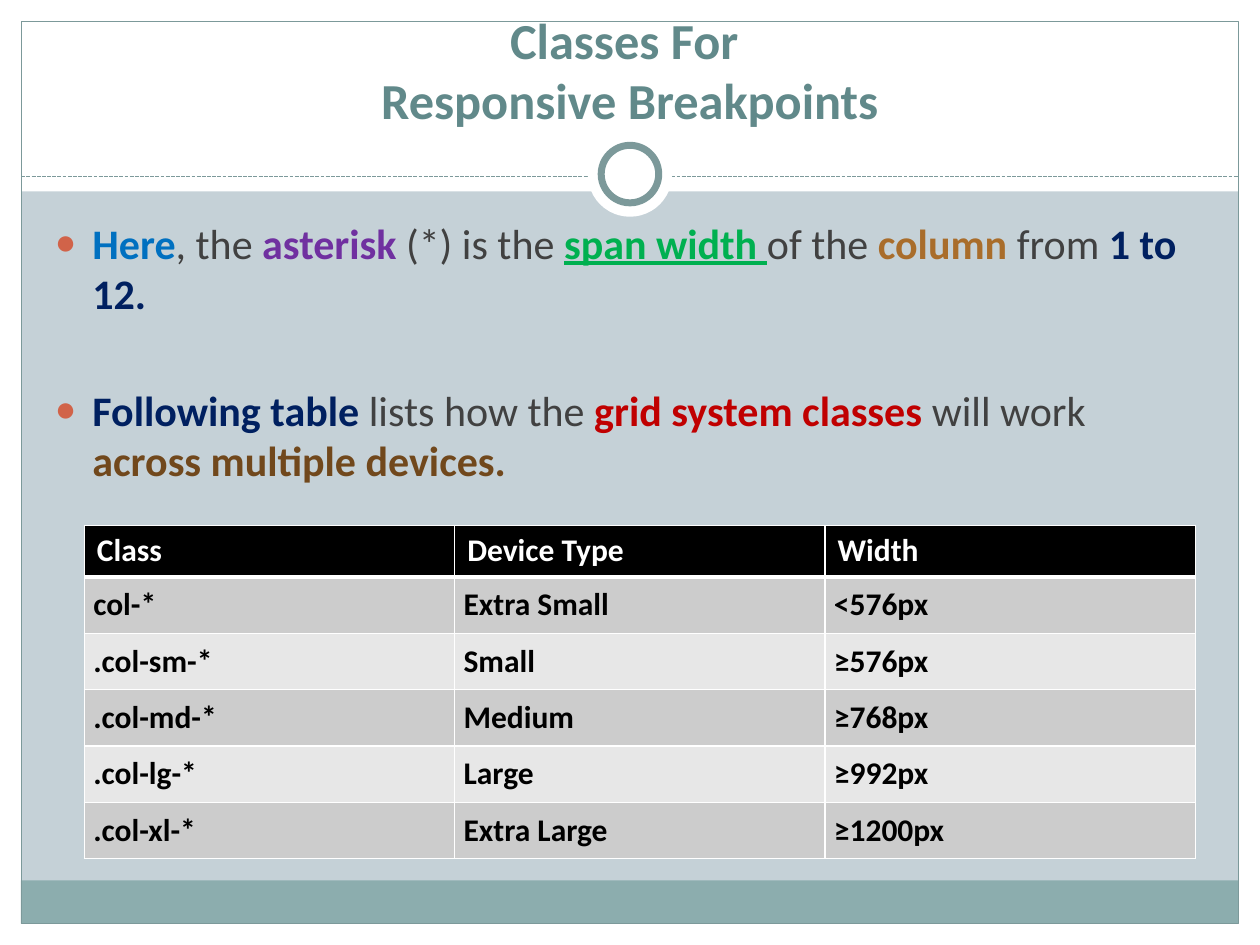
from lxml import etree
from pptx import Presentation
from pptx.dml.color import RGBColor
from pptx.enum import dml, shapes, text
from pptx.oxml import ns
from pptx.util import Cm, Pt

WHITE = RGBColor(0xFF, 0xFF, 0xFF)
BLACK = RGBColor(0, 0, 0)
PANEL = RGBColor(0xC5, 0xD1, 0xD7)
FOOTER = RGBColor(0x8C, 0xAD, 0xAE)
FRAME = RGBColor(0x7C, 0x99, 0x9A)
TITLE = RGBColor(0x61, 0x89, 0x8A)
BULLET = RGBColor(0xD1, 0x63, 0x49)
GREY = RGBColor(0x41, 0x41, 0x41)
BLUE = RGBColor(0x00, 0x70, 0xC0)
PURPLE = RGBColor(0x70, 0x30, 0xA0)
GREEN = RGBColor(0x00, 0xB0, 0x50)
TAN = RGBColor(0xA9, 0x6D, 0x2B)
NAVY = RGBColor(0x00, 0x20, 0x60)
RED = RGBColor(0xC0, 0x00, 0x00)
BROWN = RGBColor(0x71, 0x48, 0x1C)
BANDS = (RGBColor(0xE7, 0xE7, 0xE7), RGBColor(0xCC, 0xCC, 0xCC))
FONT = "Calibri"

# Grey runs are plain, all other colours are bold
BULLETS = [
    [("Here", BLUE), (", the ", GREY), ("asterisk", PURPLE),
     (" (*) is the ", GREY), ("span width ", GREEN), ("of the ", GREY),
     ("column", TAN), (" from ", GREY), ("1 to 12.", NAVY)],
    [("Following table ", NAVY), ("lists how the ", GREY),
     ("grid system classes ", RED), ("will work ", GREY),
     ("across multiple devices.", BROWN)],
]
ROWS = [
    ("Class", "Device Type", "Width"),
    ("col-*", "Extra Small", "<576px"),
    (".col-sm-*", "Small", "≥576px"),
    (".col-md-*", "Medium", "≥768px"),
    (".col-lg-*", "Large", "≥992px"),
    (".col-xl-*", "Extra Large", "≥1200px"),
]


def sub(parent, tag, **attrs):
    return etree.SubElement(parent, ns.qn(tag), **attrs)


def style(font, size, color, bold=True):
    font.name, font.size, font.bold = FONT, Pt(size), bold
    font.color.rgb = color


def place(sp, x, y, w, h):
    sp.left, sp.top, sp.width, sp.height = Cm(x), Cm(y), Cm(w), Cm(h)


def add_block(s, kind, x, y, w, h, fill=None, line_width=None):
    sp = s.shapes.add_shape(kind, Cm(x), Cm(y), Cm(w), Cm(h))
    sp.shadow.inherit = False
    if fill is None:
        sp.fill.background()
    else:
        sp.fill.solid()
        sp.fill.fore_color.rgb = fill
    if line_width is None:
        sp.line.fill.background()
    else:
        sp.line.color.rgb = FRAME
        sp.line.width = Pt(line_width)


def add_dashed_line(s, x1, x2, y):
    line = s.shapes.add_connector(shapes.MSO_CONNECTOR.STRAIGHT,
                                  Cm(x1), Cm(y), Cm(x2), Cm(y))
    line.line.color.rgb = FRAME
    line.line.width = Pt(0.75)
    line.line.dash_style = dml.MSO_LINE.SQUARE_DOT
    sub(line.element.spPr, "a:effectLst")


def add_decoration(s):
    rect, oval = shapes.MSO_SHAPE.RECTANGLE, shapes.MSO_SHAPE.OVAL
    # White margins and header
    add_block(s, rect, 0, 18.62, 25.4, 0.43, WHITE)
    add_block(s, rect, 0, 0, 25.4, 3.86, WHITE)
    for x in (0, 24.97):
        add_block(s, rect, x, 0, 0.43, 19.05, WHITE)
    # Footer band, frame and divider
    add_block(s, rect, 0.42, 17.75, 24.54, 0.87, FOOTER)
    add_block(s, rect, 0.43, 0.43, 24.54, 18.19, line_width=0.75)
    add_dashed_line(s, 0.43, 24.97, 3.56)
    # Ring on the divider
    add_block(s, oval, 11.85, 2.67, 1.7, 1.7, WHITE)
    add_block(s, oval, 12.12, 2.93, 1.16, 1.16, WHITE, 4)


def fill_title(sp):
    place(sp, 0.85, 0.63, 23.7, 2.12)
    tf = sp.text_frame
    tf.text = "Classes For \vResponsive Breakpoints"
    tf.auto_size = text.MSO_AUTO_SIZE.NONE
    tf.vertical_anchor = text.MSO_ANCHOR.BOTTOM
    p = tf.paragraphs[0]
    p.alignment = text.PP_ALIGN.CENTER
    for r in p.runs:
        style(r.font, 28.8, TITLE)


def add_bullet(p):
    pPr = p._p.get_or_add_pPr()
    pPr.set("marL", str(Cm(0.76)))
    pPr.set("indent", str(-Cm(0.76)))
    sub(sub(pPr, "a:buClr"), "a:srgbClr", val=str(BULLET))
    sub(pPr, "a:buSzPct", val="85000")
    sub(pPr, "a:buChar", char="●")


def fill_body(sp):
    place(sp, 0.85, 4.25, 23.62, 12.7)
    tf = sp.text_frame
    tf.auto_size = text.MSO_AUTO_SIZE.NONE
    for i, parts in enumerate(BULLETS):
        p = tf.add_paragraph() if i else tf.paragraphs[0]
        add_bullet(p)
        p.space_before = Pt(38 if i else 0)
        for words, color in parts:
            r = p.add_run()
            r.text = words
            style(r.font, 24, color, color != GREY)
            if color == GREEN:
                r.font.underline = True


def set_borders(cell, bottom):
    tcPr = cell._tc.get_or_add_tcPr()
    for side, width in zip("LRTB", (1, 1, 1, bottom)):
        ln = sub(tcPr, f"a:ln{side}", w=str(Pt(width)))
        sub(sub(ln, "a:solidFill"), "a:srgbClr", val=str(WHITE))


def add_class_table(s):
    table = s.shapes.add_table(len(ROWS), 3, Cm(1.7), Cm(10.59),
                               Cm(22.4), Cm(6.53)).table
    for i, row in enumerate(ROWS):
        table.rows[i].height = Cm(1.04)
        for j, words in enumerate(row):
            cell = table.cell(i, j)
            cell.text = words
            style(cell.text_frame.paragraphs[0].runs[0].font, 18,
                  BLACK if i else WHITE)
            if i:
                cell.margin_left = cell.margin_right = Cm(0.18)
                cell.margin_top = cell.margin_bottom = Cm(0.18)
            set_borders(cell, 1 if i else 3)
            cell.fill.solid()
            cell.fill.fore_color.rgb = BANDS[i % 2] if i else BLACK


def main():
    prs = Presentation()
    prs.slide_width, prs.slide_height = Cm(25.4), Cm(19.05)
    s = prs.slides.add_slide(prs.slide_layouts[1])
    s.background.fill.solid()
    s.background.fill.fore_color.rgb = PANEL
    title, body = s.placeholders
    add_decoration(s)
    # Bring the placeholders in front of the decoration
    for sp in (title, body):
        sp.element.getparent().append(sp.element)
    fill_title(title)
    fill_body(body)
    add_class_table(s)
    prs.save("out.pptx")


if __name__ == "__main__":
    main()
